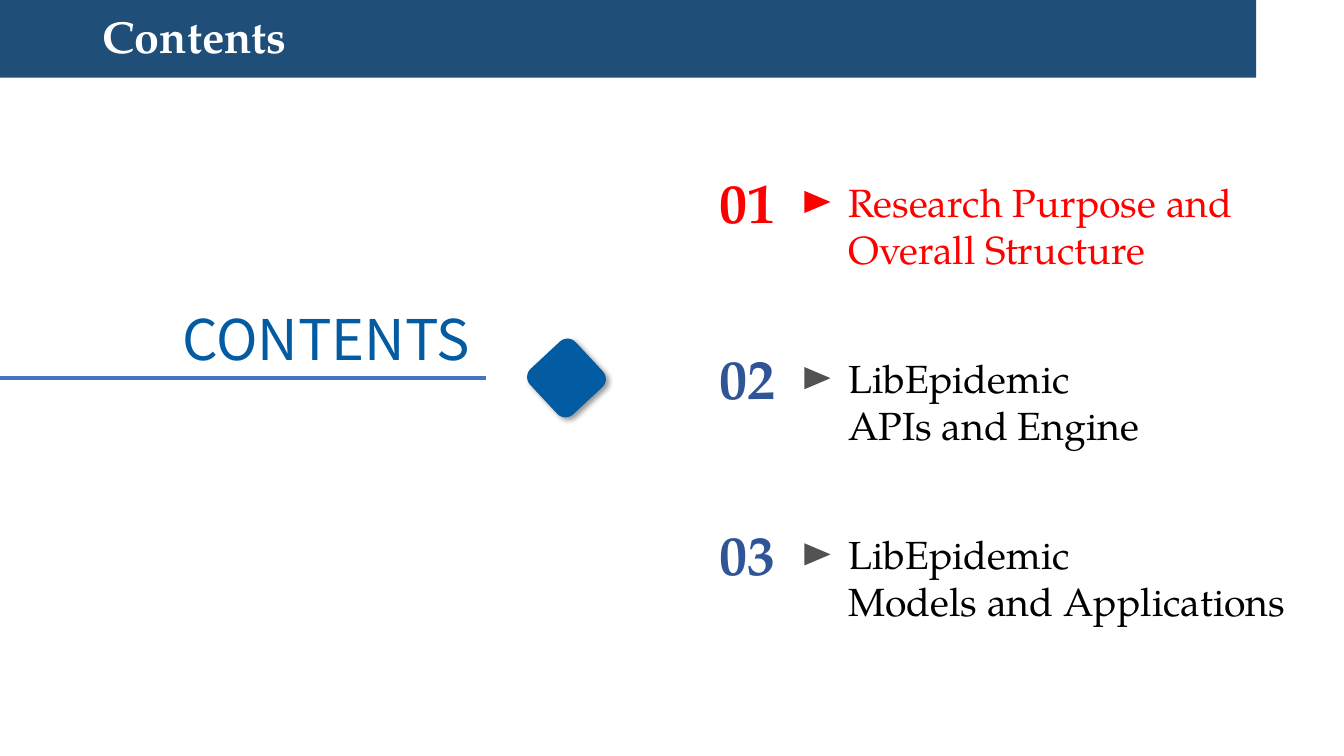
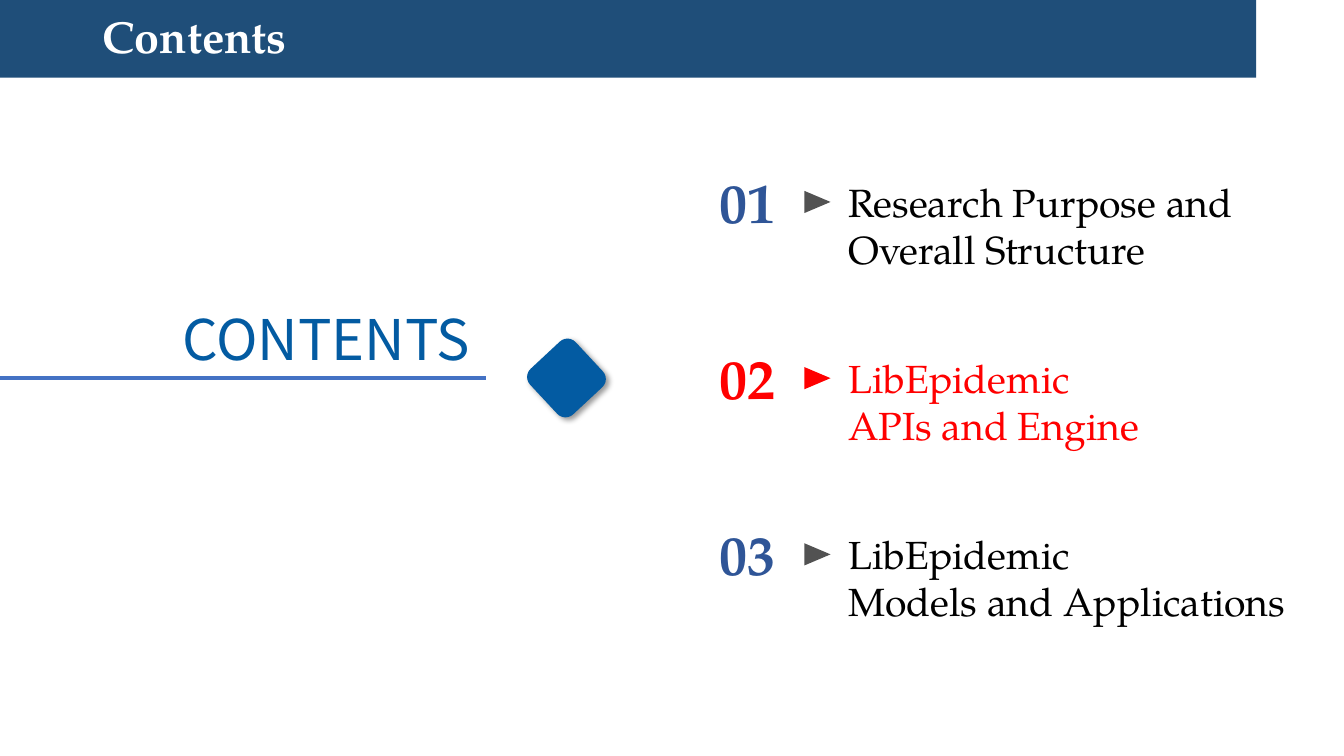
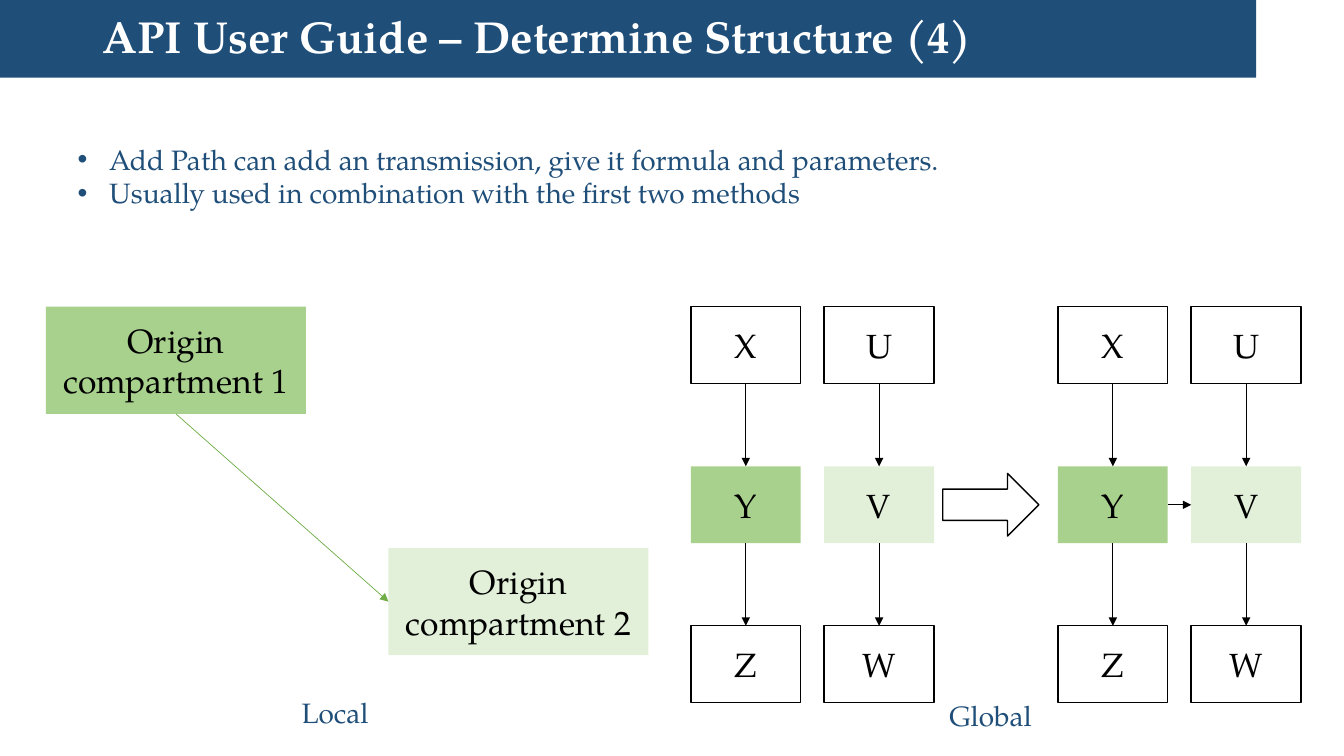
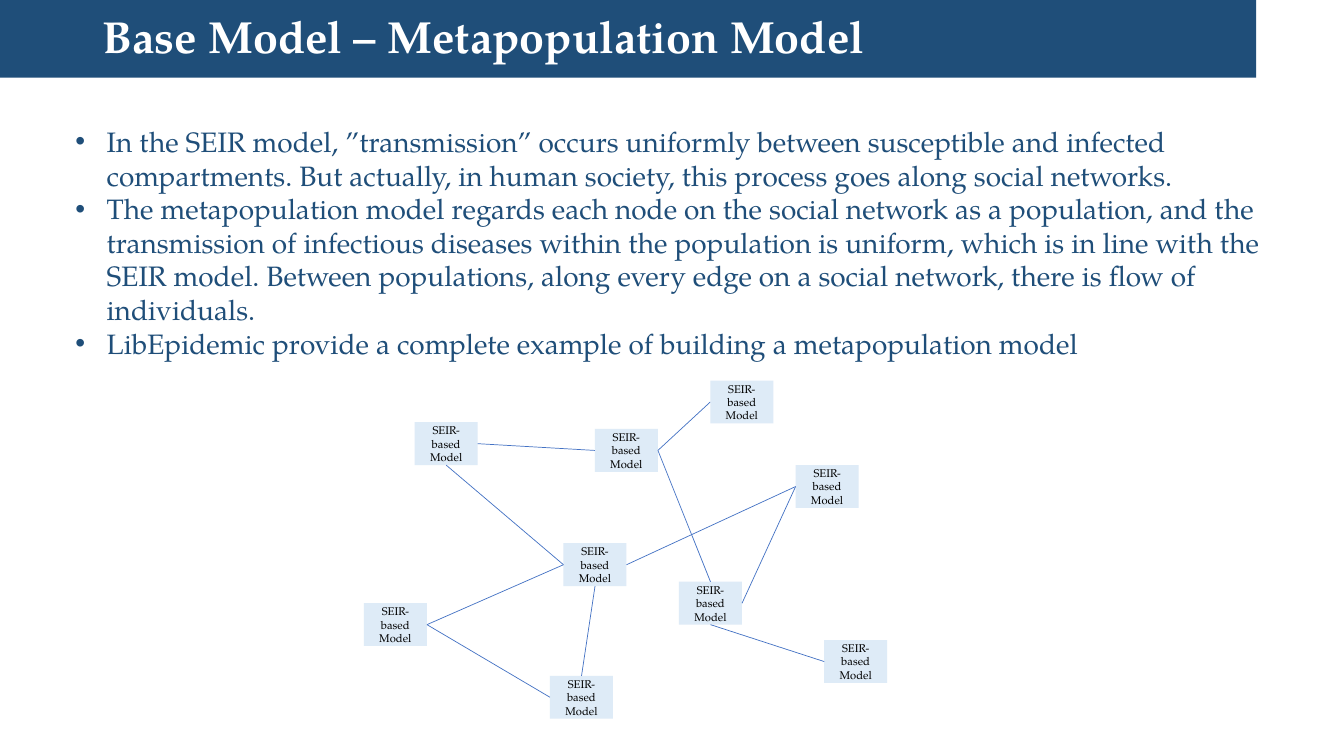
from lxml import etree
from pptx import Presentation
from pptx import util as u
from pptx.dml import color
from pptx.enum import shapes, text
from pptx.oxml import ns

# ---- Shared look ----
SERIF, SANS = "TeX Gyre Pagella", "Noto Sans CJK SC"
NAVY, DEEP_BLUE, LINE_BLUE, NUMBER_BLUE = "1F4E79", "035BA2", "4472C4", "2F5597"
PALE_BLUE, GREEN, PALE_GREEN, LINE_GREEN = "DEEBF7", "A9D18E", "E2F0D9", "70AD47"
WHITE, BLACK, GREY, RED = "FFFFFF", "000000", "525252", "FF0000"
TOP, LEFT, BOTTOM, RIGHT = range(4)
SHAPE, ALIGN = shapes.MSO_SHAPE, text.PP_ALIGN
BAND = (0, 0, 31.66, 1.96)
TITLE_BOX = (2.33, 0, 29.21, 1.96)

# ---- Content (lengths in cm) ----
CHAPTERS = [
    ("Research Purpose and\nOverall Structure", 10.41),
    ("LibEpidemic\nAPIs and Engine", 10.41),
    ("LibEpidemic\nModels and Applications", 12.32),
]
STRUCTURE_POINTS = [
    "Add Path can add an transmission, give it formula and parameters.",
    "Usually used in combination with the first two methods",
]
CHAINS = [
    [("X", WHITE), ("Y", GREEN), ("Z", WHITE)],
    [("U", WHITE), ("V", PALE_GREEN), ("W", WHITE)],
]
CAPTIONS = [("Local", 5.88, 17.4), ("Global", 22.4, 17.48)]
MODEL_POINTS = [
    "In the SEIR model, ”transmission” occurs uniformly between susceptible and infected "
    "compartments. But actually, in human society, this process goes along social networks.",
    "The metapopulation model regards each node on the social network as a population, and the "
    "transmission of infectious diseases within the population is uniform, which is in line with "
    "the SEIR model. Between populations, along every edge on a social network, there is flow of "
    "individuals.",
    "LibEpidemic provide a complete example of building a metapopulation model",
]
POPULATIONS = {
    "hub": (14.99, 10.81), "centre": (14.2, 13.69), "lower": (17.11, 14.66),
    "bottom": (13.86, 17.03), "right": (20.05, 11.72), "top": (17.9, 9.59),
    "corner": (20.77, 16.13), "upper left": (10.45, 10.64), "lower left": (9.17, 15.2),
}
FLOWS = [
    ("hub", RIGHT, "top", LEFT), ("upper left", RIGHT, "hub", LEFT),
    ("lower left", RIGHT, "centre", LEFT), ("upper left", BOTTOM, "centre", LEFT),
    ("lower left", RIGHT, "bottom", LEFT), ("bottom", TOP, "centre", BOTTOM),
    ("hub", RIGHT, "lower", TOP), ("lower", BOTTOM, "corner", LEFT),
    ("lower", RIGHT, "right", LEFT), ("centre", RIGHT, "right", LEFT),
]


# ---- Helpers ----
def rgb(value):
    return color.RGBColor.from_string(value)


def lengths(values):
    return [u.Cm(value) for value in values]


def sub(parent, tag, **attributes):
    return etree.SubElement(parent, ns.qn(tag), attributes)


def write(shape, content, size, fill=BLACK, font=SERIF, bold=False,
          align=ALIGN.LEFT, bullet=False, spacing=None, **frame_format):
    """Fill a shape with text, one paragraph a line."""
    frame = shape.text_frame
    frame.text = content
    for name, value in {"word_wrap": True, **frame_format}.items():
        setattr(frame, name, value)
    for paragraph in frame.paragraphs:
        paragraph.alignment = align
        paragraph.line_spacing = spacing
        if bullet:
            properties = paragraph._p.get_or_add_pPr()
            properties.set("marL", str(u.Cm(0.79)))
            properties.set("indent", str(u.Cm(-0.79)))
            sub(properties, "a:buFont", typeface="Arial")
            sub(properties, "a:buChar", char="•")
        for run in paragraph.runs:
            for name, value in {"name": font, "size": u.Pt(size), "bold": bold}.items():
                setattr(run.font, name, value)
            run.font.color.rgb = rgb(fill)


def add_text(slide, box, content, size, **format_values):
    shape = slide.shapes.add_textbox(*lengths(box))
    write(shape, content, size, auto_size=text.MSO_AUTO_SIZE.SHAPE_TO_FIT_TEXT, **format_values)


def add_shape(slide, kind, box, fill, line=None, rotation=0):
    shape = slide.shapes.add_shape(kind, *lengths(box))
    shape.shadow.inherit = False
    shape.rotation = rotation
    shape.fill.solid()
    shape.fill.fore_color.rgb = rgb(fill)
    if line:
        shape.line.color.rgb = rgb(line)
        shape.line.width = u.Pt(1)
    else:
        shape.line.fill.background()
    return shape


def add_box(slide, box, content, fill, size=24, line=None):
    shape = add_shape(slide, SHAPE.RECTANGLE, box, fill, line)
    write(shape, content, size, align=ALIGN.CENTER, vertical_anchor=text.MSO_ANCHOR.MIDDLE)
    return shape


def add_line(slide, ends, line, width=0.5):
    connector = slide.shapes.add_connector(shapes.MSO_CONNECTOR.STRAIGHT, *lengths(ends))
    connector.line.color.rgb = rgb(line)
    connector.line.width = u.Pt(width)
    sub(connector._element.spPr, "a:effectLst")
    return connector


def join(slide, start, start_side, end, end_side, line=BLACK, arrow=True):
    connector = add_line(slide, (0, 0, 0, 0), line)
    connector.begin_connect(start, start_side)
    connector.end_connect(end, end_side)
    if arrow:
        sub(connector.line._get_or_add_ln(), "a:tailEnd", type="triangle")


def set_box(shape, box):
    for name, value in zip(("left", "top", "width", "height"), lengths(box)):
        setattr(shape, name, value)


def add_slide(presentation, title):
    """Add a slide with the title band behind its title."""
    slide = presentation.slides.add_slide(presentation.slide_layouts[5])
    band = add_shape(slide, SHAPE.RECTANGLE, BAND, NAVY)
    slide.shapes.title._element.addprevious(band._element)
    set_box(slide.shapes.title, TITLE_BOX)
    write(slide.shapes.title, title, 32, fill=WHITE, bold=True, spacing=0.9,
          vertical_anchor=text.MSO_ANCHOR.MIDDLE, auto_size=text.MSO_AUTO_SIZE.NONE)
    return slide


# ---- Slides ----
def add_contents(presentation, current):
    slide = add_slide(presentation, "Contents")
    add_line(slide, (0, 9.53, 12.24, 9.53), LINE_BLUE, 3)
    add_text(slide, (4.35, 7.55, 8.46, 1.96), "CONTENTS", 40, fill=DEEP_BLUE, font=SANS)
    diamond = add_shape(slide, SHAPE.ROUNDED_RECTANGLE, (13.49, 8.74, 1.57, 1.57),
                        DEEP_BLUE, rotation=137)
    diamond.adjustments[0] = 0.18
    shadow = sub(diamond._element.spPr.find(ns.qn("a:effectLst")), "a:outerShdw",
                 blurRad=str(u.Pt(4)), dist=str(u.Pt(3)), dir="2700000",
                 algn="tl", rotWithShape="0")
    sub(sub(shadow, "a:srgbClr", val=BLACK), "a:alpha", val="40000")

    for index, (chapter, width) in enumerate(CHAPTERS):
        shift = index * 4.44
        name_color, number_color, marker_color = (
            (RED, RED, RED) if index == current else (BLACK, NUMBER_BLUE, GREY))
        add_text(slide, (21.13, 4.36 + shift, width, 2.64), chapter, 28, fill=name_color)
        add_text(slide, (17.6, 4.09 + shift, 2.46, 1.96), f"{index + 1:02}", 40,
                 fill=number_color, bold=True, align=ALIGN.CENTER)
        add_shape(slide, SHAPE.ISOSCELES_TRIANGLE, (20.32, 4.76 + shift, 0.56, 0.66),
                  marker_color, rotation=90)


def add_structure(presentation):
    slide = add_slide(presentation, "API User Guide – Determine Structure (4)")
    add_text(slide, (1.71, 3.46, 30.56, 1.96), "\n".join(STRUCTURE_POINTS), 20,
             fill=NAVY, bullet=True)
    for caption, left, top in CAPTIONS:
        add_text(slide, (left, top, 5.13, 1.12), caption, 20, fill=NAVY, align=ALIGN.CENTER)

    # Local view
    first = add_box(slide, (1.16, 7.73, 6.55, 2.7), "Origin\ncompartment 1", GREEN)
    second = add_box(slide, (9.79, 13.81, 6.55, 2.7), "Origin compartment 2", PALE_GREEN)
    join(slide, first, BOTTOM, second, LEFT, LINE_GREEN)

    # Global view, before and after the new link
    for view_left in (17.41, 26.66):
        middle = []
        for column, chain in enumerate(CHAINS):
            boxes = [
                add_box(slide, (view_left + column * 3.36, 7.73 + row * 4.02, 2.77, 1.94),
                        name, fill, line=BLACK if fill == WHITE else None)
                for row, (name, fill) in enumerate(chain)
            ]
            for upper, lower in zip(boxes, boxes[1:]):
                join(slide, upper, BOTTOM, lower, TOP)
            middle.append(boxes[1])
    join(slide, middle[0], RIGHT, middle[1], LEFT)
    add_shape(slide, SHAPE.RIGHT_ARROW, (23.76, 11.93, 2.42, 1.58), WHITE, BLACK)


def add_metapopulation(presentation):
    slide = add_slide(presentation, "Base Model – Metapopulation Model")
    add_text(slide, (1.65, 3.01, 30.56, 6.25), "\n".join(MODEL_POINTS), 20,
             fill=NAVY, bullet=True)
    nodes = {
        name: add_box(slide, (*corner, 1.59, 1.08), "SEIR-based\nModel", PALE_BLUE, size=8)
        for name, corner in POPULATIONS.items()
    }
    for start, start_side, end, end_side in FLOWS:
        join(slide, nodes[start], start_side, nodes[end], end_side, LINE_BLUE, arrow=False)


def main():
    presentation = Presentation()
    presentation.slide_width, presentation.slide_height = lengths((33.87, 19.05))
    for current in (0, 1):
        add_contents(presentation, current)
    add_structure(presentation)
    add_metapopulation(presentation)
    presentation.save("out.pptx")


if __name__ == "__main__":
    main()
